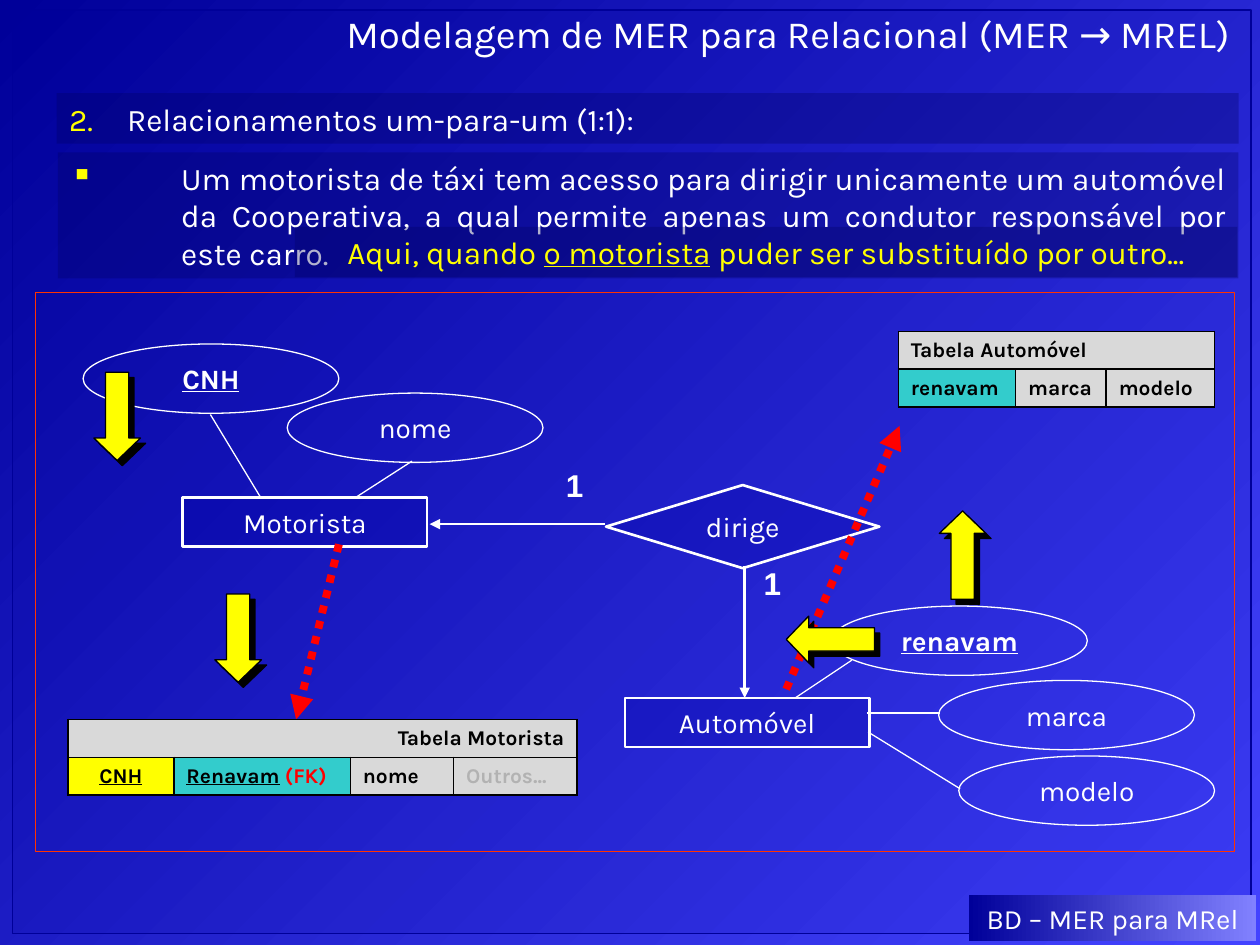
import pptx
import pptx.util
import pptx.dml.color
import pptx.enum.dml
import pptx.enum.shapes
import pptx.enum.text
import pptx.oxml
import pptx.oxml.ns

SHAPE = pptx.enum.shapes.MSO_SHAPE
ALIGN = pptx.enum.text.PP_ALIGN
MIDDLE = pptx.enum.text.MSO_ANCHOR.MIDDLE
NS = pptx.oxml.ns.nsdecls("a")
WHITE, BLACK, YELLOW, RED = "FFFFFF", "000000", "FFFF00", "FF0000"
NAVY, STRIP, GRAY, TEAL = "000099", "000060", "D9D9D9", "33CCCC"


def paint(fill, colour, opacity=100, fade_to=None, angle=0):
    if fade_to:
        fill.gradient()
        fill.gradient_angle = angle
        for stop, shade in zip(fill.gradient_stops, (colour, fade_to)):
            stop.color.rgb = pptx.dml.color.RGBColor.from_string(shade)
        return
    fill.solid()
    fill.fore_color.rgb = pptx.dml.color.RGBColor.from_string(colour)
    if opacity < 100:
        shade = fill._xPr.find(".//" + pptx.oxml.ns.qn("a:srgbClr"))
        shade.append(pptx.oxml.parse_xml(f'<a:alpha {NS} val="{opacity * 1000}"/>'))


def write(frame, runs, size, align=ALIGN.CENTER, bold=False, font="Karla"):
    frame.word_wrap = align != ALIGN.CENTER
    frame.vertical_anchor = MIDDLE
    paragraph = frame.paragraphs[0]
    paragraph.alignment = align
    for words, colour, underline in runs:
        run = paragraph.add_run()
        run.text = words
        run.font.name = font
        run.font.size = pptx.util.Pt(size)
        run.font.bold = bold
        run.font.underline = underline
        paint(run.font.fill, colour)


prs = pptx.Presentation()
prs.slide_width = pptx.util.Inches(10)
prs.slide_height = pptx.util.Inches(7.5)
col = prs.slide_width / 100
row = prs.slide_height / 75

slide = prs.slides.add_slide(prs.slide_layouts[5])
paint(slide.background.fill, NAVY, fade_to="4343FF", angle=315)

panels = [
    (SHAPE.RECTANGLE, 1, 0.8, 98.3, 73.3, NAVY, 10, NAVY, 0.75),
    (SHAPE.RECTANGLE, 2.8, 23.2, 95.2, 44.4, None, 0, "FF3300", 0.75),
]
strips = [
    (4.6, 12.1, 93.7, 10, ALIGN.JUSTIFY, [("Um motorista de táxi tem acesso para dirigir unicamente um automóvel da Cooperativa, a qual permite apenas um condutor responsável por este carro.", WHITE, False)]),
    (4.5, 7.4, 93.8, 4, ALIGN.LEFT, [("Relacionamentos um-para-um (1:1):", WHITE, False)]),
    (23.4, 18, 74.8, 4, ALIGN.CENTER, [
        ("Aqui, quando ", YELLOW, False), ("o motorista", YELLOW, True),
        (" puder ser substituído por outro...", YELLOW, False)]),
]
entities = [("Motorista", 14.5, 39.5), ("Automóvel", 49.6, 55.4)]
attributes = [
    ("CNH", 6.6, 27.3, True), ("nome", 22.8, 31.2, False), ("renavam", 66, 48.1, True),
    ("marca", 74.5, 54, False), ("modelo", 76.1, 60, False),
]

boxes = [(*panel, [], 16, ALIGN.CENTER, False) for panel in panels]
boxes += [(SHAPE.RECTANGLE, x, y, w, h, STRIP, 30, None, 0, runs, 18, align, False)
          for x, y, w, h, align, runs in strips]
boxes += [(SHAPE.RECTANGLE, x, y, 19.4, 3.9, "0000A4", 30, WHITE, 1.5,
           [(name, WHITE, False)], 16, ALIGN.CENTER, False) for name, x, y in entities]
boxes += [(SHAPE.OVAL, x, y, 20.3, 5.5, None, 0, WHITE, 0.75,
           [(name, WHITE, key)], 16, ALIGN.CENTER, key) for name, x, y, key in attributes]
boxes.append((SHAPE.DIAMOND, 48.1, 38.5, 21.7, 6.6, "0000A4", 30, WHITE, 1.5,
              [("dirige", WHITE, False)], 16, ALIGN.CENTER, False))

drawn = []
for kind, x, y, w, h, fill, opacity, outline, weight, runs, size, align, bold in boxes:
    box = slide.shapes.add_shape(kind, int(x * col), int(y * row), int(w * col), int(h * row))
    box.shadow.inherit = False
    if fill:
        paint(box.fill, fill, opacity)
    else:
        box.fill.background()
    if outline:
        paint(box.line.fill, outline)
        box.line.width = pptx.util.Pt(weight)
    else:
        box.line.fill.background()
    write(box.text_frame, runs, size, align, bold)
    drawn.append(box)

example, topic = drawn[len(panels):len(panels) + 2]
for item, indent, bullet in [
    (example, 8.8, '<a:buChar {} char="▪"/>'),
    (topic, 4.6, '<a:buAutoNum {} type="arabicPeriod" startAt="2"/>'),
]:
    pPr = item.text_frame.paragraphs[0]._p.get_or_add_pPr()
    pPr.set("marL", str(int(indent * col)))
    pPr.set("indent", str(int(-indent * col)))
    pPr.append(pptx.oxml.parse_xml(f'<a:buClr {NS}><a:srgbClr val="{YELLOW}"/></a:buClr>'))
    pPr.append(pptx.oxml.parse_xml(bullet.format(NS)))

footer = slide.shapes.add_shape(SHAPE.RECTANGLE, int(76.9 * col), int(71 * row), int(22.8 * col), int(3.7 * row))
footer.shadow.inherit = False
footer.line.fill.background()
paint(footer.fill, NAVY, fade_to="8181FF")
write(footer.text_frame, [("BD – MER para MRel", WHITE, False)], 16)

for x, y in [(43.9, 36.5), (59.6, 44.3)]:
    cardinality = slide.shapes.add_textbox(int(x * col), int(y * row), int(3.4 * col), int(4 * row))
    write(cardinality.text_frame, [("1", WHITE, False)], 18, bold=True, font="Arial")

links = [
    (16.7, 32.9, 20.7, 39.5, WHITE, 0.75, False),
    (32.7, 36.6, 28.2, 39.5, WHITE, 0.75, False),
    (68.9, 58.1, 76.2, 62.6, WHITE, 0.75, False),
    (67.6, 52.4, 63.1, 55.4, WHITE, 0.75, False),
    (68.8, 56.6, 74.6, 56.6, WHITE, 0.75, False),
    (48, 41.6, 34.1, 41.6, WHITE, 1.5, True),
    (59.1, 44.9, 59.1, 55.4, WHITE, 1.5, True),
    (26.9, 43.2, 23.5, 57.1, RED, 4.5, True),
    (62.4, 54.7, 71.4, 33.8, RED, 4.5, True),
]
for x1, y1, x2, y2, colour, weight, arrow in links:
    link = slide.shapes.add_connector(
        pptx.enum.shapes.MSO_CONNECTOR.STRAIGHT, int(x1 * col), int(y1 * row), int(x2 * col), int(y2 * row))
    paint(link.line.fill, colour)
    link.line.width = pptx.util.Pt(weight)
    if colour == RED:
        link.line.dash_style = pptx.enum.dml.MSO_LINE.ROUND_DOT
    if arrow:
        link.line._get_or_add_ln().append(pptx.oxml.parse_xml(f'<a:tailEnd {NS} type="triangle"/>'))
    link._element.spPr.append(pptx.oxml.parse_xml(f"<a:effectLst {NS}/>"))

tables = [
    (5.4, 57.1, [8.4, 14, 8.2, 9.8], "Tabela Motorista", ALIGN.RIGHT, [
        ([("CNH", BLACK, True)], YELLOW, ALIGN.CENTER),
        ([("Renavam", BLACK, True), (" (FK)", RED, False)], TEAL, ALIGN.JUSTIFY),
        ([("nome", BLACK, False)], GRAY, ALIGN.JUSTIFY),
        ([("Outros...", "B2B2B2", False)], GRAY, ALIGN.JUSTIFY)]),
    (71.3, 26.3, [9.3, 7.2, 8.6], "Tabela Automóvel", ALIGN.LEFT, [
        ([("renavam", BLACK, False)], TEAL, ALIGN.JUSTIFY),
        ([("marca", BLACK, False)], GRAY, ALIGN.JUSTIFY),
        ([("modelo", BLACK, False)], GRAY, ALIGN.JUSTIFY)]),
]
for x, y, widths, heading, heading_align, fields in tables:
    relation = slide.shapes.add_table(
        2, len(widths), int(x * col), int(y * row), int(sum(widths) * col), int(6 * row)).table
    relation.first_row = relation.horz_banding = False
    for column, width in zip(relation.columns, widths):
        column.width = int(width * col)
    relation.cell(0, 0).merge(relation.cell(0, len(widths) - 1))
    header = [([(heading, BLACK, False)], GRAY, heading_align)]
    header += [([], GRAY, ALIGN.LEFT)] * (len(widths) - 1)
    for r, contents in enumerate([header, fields]):
        for c, (runs, fill, align) in enumerate(contents):
            cell = relation.cell(r, c)
            paint(cell.fill, fill)
            write(cell.text_frame, runs, 12, align, bold=True)
            cell.vertical_anchor = MIDDLE
            for place, side in enumerate("LRTB"):
                cell._tc.get_or_add_tcPr().insert(place, pptx.oxml.parse_xml(
                    f'<a:ln{side} {NS} w="12700"><a:solidFill><a:srgbClr val="{BLACK}"/></a:solidFill></a:ln{side}>'))

for x, y, turn in [(62.4, 48.9, 180), (5.8, 31.2, 90), (15.4, 48.8, 90), (72.9, 42.2, 270)]:
    pointer = slide.shapes.add_shape(SHAPE.RIGHT_ARROW, int(x * col), int(y * row), int(7 * col), int(3.7 * row))
    pointer.rotation = turn
    pointer.adjustments[1] = 0.48
    paint(pointer.fill, YELLOW)
    paint(pointer.line.fill, BLACK)
    pointer.line.width = pptx.util.Pt(0.75)
    pointer._element.spPr.append(pptx.oxml.parse_xml(
        f'<a:effectLst {NS}><a:outerShdw dist="{pptx.util.Pt(4.2)}" dir="2700000" algn="ctr" rotWithShape="0">'
        f'<a:srgbClr val="{BLACK}"/></a:outerShdw></a:effectLst>'))

title = slide.shapes.title
title.left, title.top = int(8.6 * col), int(1.1 * row)
title.width, title.height = int(90 * col), int(3.8 * row)
title.text_frame.auto_size = pptx.enum.text.MSO_AUTO_SIZE.NONE
write(title.text_frame, [("Modelagem de MER para Relacional (MER → MREL)", WHITE, False)], 22, ALIGN.RIGHT)
title.text_frame.paragraphs[0].line_spacing = 0.75
slide.shapes._spTree.append(title._element)

prs.save("out.pptx")
